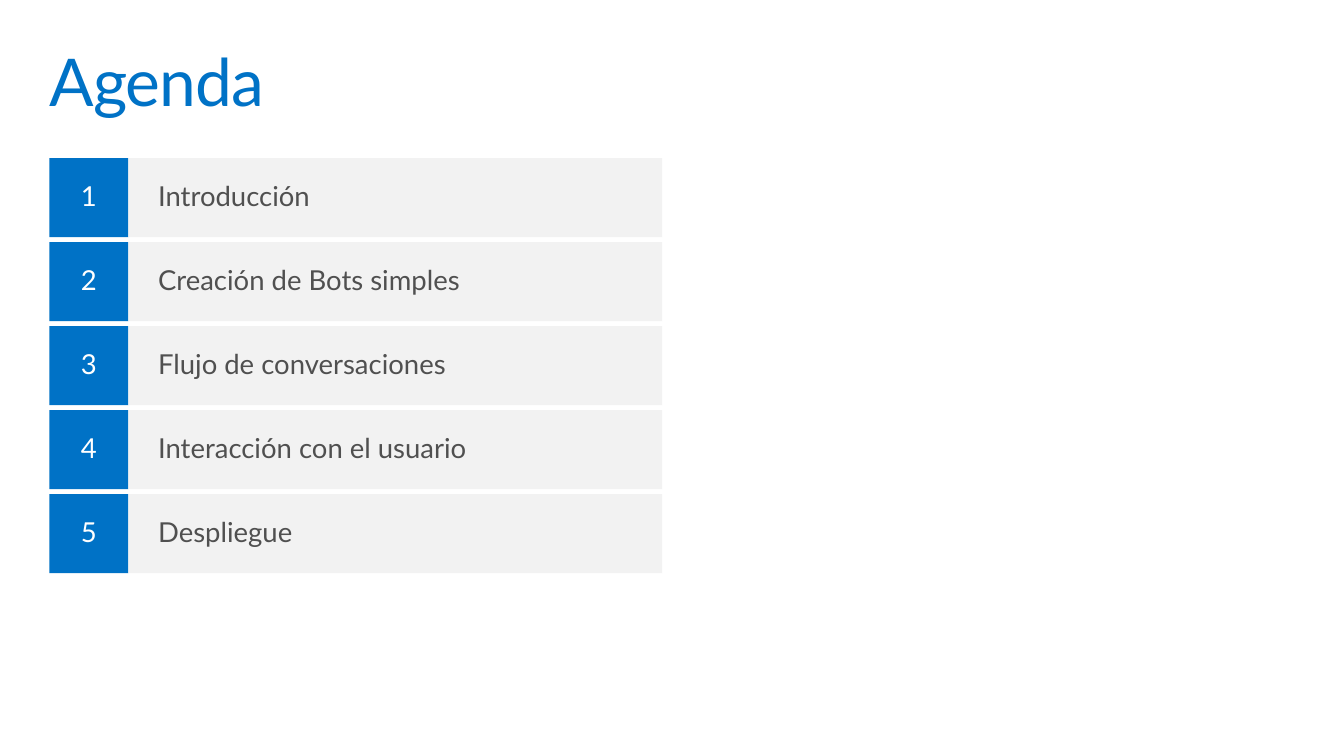
"""Build the agenda slide: a title above five numbered rows."""
from pptx import Presentation
from pptx import util as u
from pptx.dml.color import RGBColor
from pptx.enum import shapes, text

BLUE, PALE, GREY, WHITE = "0072C6", "F2F2F2", "505050", "FFFFFF"
TOPICS = [
    "Introducción",
    "Creación de Bots simples",
    "Flujo de conversaciones",
    "Interacción con el usuario",
    "Despliegue",
]
LEFT, TOP, ROW_H, GAP = 0.5, 1.6, 0.8, 0.05
NUMBER_W, TOPIC_W = 0.8, 5.4


def paint(fmt, color):
    fmt.solid()
    fmt.fore_color.rgb = RGBColor.from_string(color)


def write(sp, words, size, color, align, anchor, inset_x, inset_y):
    tf = sp.text_frame
    tf.word_wrap = True
    tf.auto_size = text.MSO_AUTO_SIZE.NONE
    tf.vertical_anchor = anchor
    tf.margin_left = tf.margin_right = u.Inches(inset_x)
    tf.margin_top = tf.margin_bottom = u.Inches(inset_y)
    p = tf.paragraphs[0]
    p.alignment = align
    p.line_spacing = 0.9
    r = p.add_run()
    r.text = words
    r.font.name = "Lato"
    r.font.size = u.Pt(size)
    paint(r.font.fill, color)
    return r


prs = Presentation()
prs.slide_width, prs.slide_height = u.Inches(13.6), u.Inches(7.65)
s = prs.slides.add_slide(prs.slide_layouts[5])
paint(s.background.fill, WHITE)

title = s.shapes.title
title.left, title.top = u.Inches(0.4), u.Inches(0.4)
title.width, title.height = u.Inches(12.8), u.Inches(1)
r = write(title, "Agenda", 48, BLUE, text.PP_ALIGN.LEFT, text.MSO_ANCHOR.TOP, 0.1, 0.1)
r.font._element.set("spc", "-70")

numbers = [str(n) for n in range(1, len(TOPICS) + 1)]
columns = [
    ("Number", numbers, LEFT, NUMBER_W, BLUE, WHITE, text.PP_ALIGN.CENTER, 0.2, 0.16),
    ("Topic", TOPICS, LEFT + NUMBER_W, TOPIC_W, PALE, GREY, text.PP_ALIGN.LEFT, 0.3, 0.1),
]
for name, labels, x, width, fill, color, align, inset_x, inset_y in columns:
    for row, label in enumerate(labels):
        y = TOP + row * (ROW_H + GAP)
        sp = s.shapes.add_shape(
            shapes.MSO_SHAPE.RECTANGLE,
            u.Inches(x), u.Inches(y), u.Inches(width), u.Inches(ROW_H),
        )
        sp.name = f"{name} {row + 1}"
        sp.shadow.inherit = False
        paint(sp.fill, fill)
        sp.line.fill.background()
        write(sp, label, 20, color, align, text.MSO_ANCHOR.MIDDLE, inset_x, inset_y)

prs.save("out.pptx")
